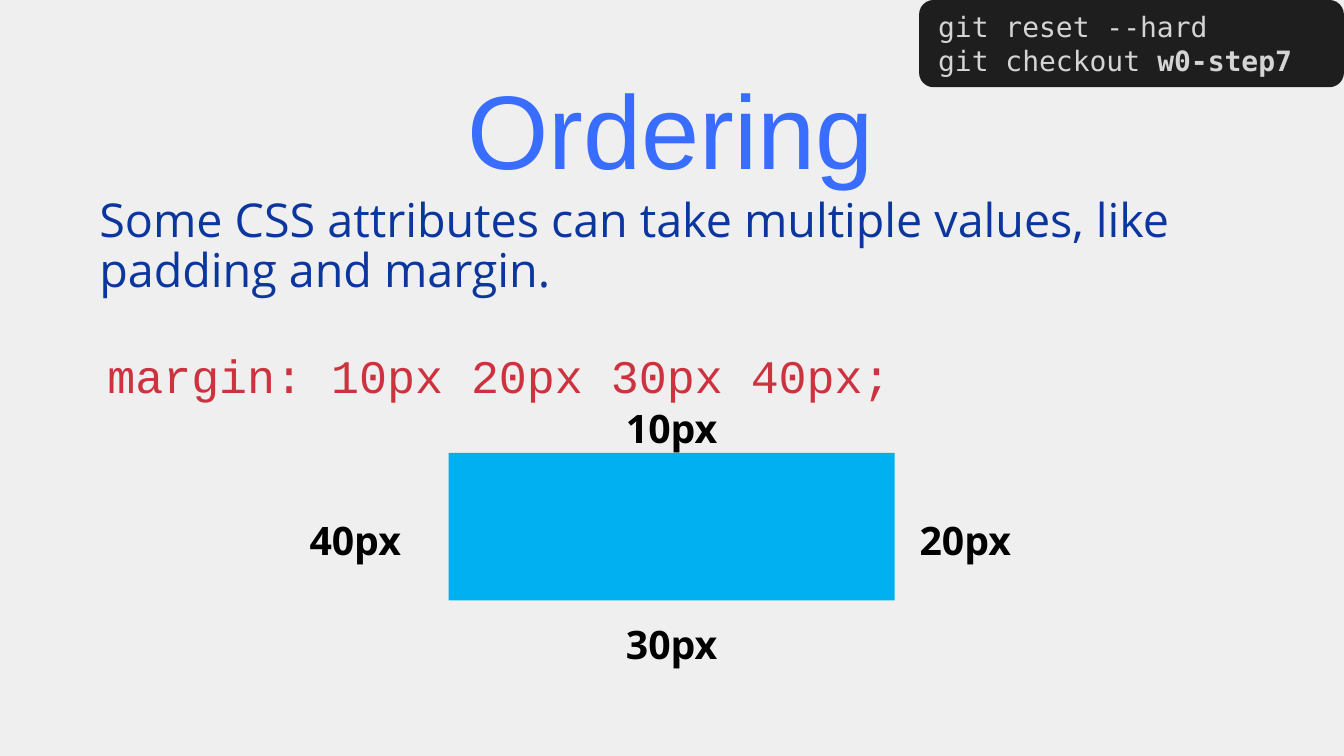
from pptx import Presentation
from pptx.dml.color import RGBColor
from pptx.enum.shapes import MSO_SHAPE
from pptx.enum.text import MSO_ANCHOR, PP_ALIGN
from pptx.util import Cm, Pt

HUES = {
    "page": "EFEFEF",
    "title": "396DFF",
    "body": "0A369D",
    "code": "CC333F",
    "label": "000000",
    "box": "00B0F0",
    "shell": "1E1E1E",
    "shell text": "D4D4D4",
}


def hue(name):
    return RGBColor.from_string(HUES[name])


def style(para, face, size, tint, bold=False, align=PP_ALIGN.LEFT):
    para.alignment = align
    font = para.font
    font.name, font.size, font.bold = face, Pt(size), bold
    font.color.rgb = hue(tint)


def inset(frame, side, top):
    frame.word_wrap = True
    frame.margin_left = frame.margin_right = Cm(side)
    frame.margin_top = frame.margin_bottom = Cm(top)


def add_text(slide, box, text, top=0.18, **look):
    frame = slide.shapes.add_textbox(*map(Cm, box)).text_frame
    inset(frame, 0.18, top)
    para = frame.paragraphs[0]
    para.text = text
    style(para, **look)
    return para


def add_block(slide, kind, box, tint):
    shape = slide.shapes.add_shape(kind, *map(Cm, box))
    shape.shadow.inherit = False
    shape.fill.solid()
    shape.fill.fore_color.rgb = hue(tint)
    shape.line.fill.background()
    return shape


def add_title(slide, box, text):
    title = slide.shapes.title
    title.left, title.top, title.width, title.height = map(Cm, box)
    frame = title.text_frame
    frame.text = text
    inset(frame, 0.18, 0.18)
    frame.vertical_anchor = MSO_ANCHOR.MIDDLE
    style(frame.paragraphs[0], "Arial", 56, "title", align=PP_ALIGN.CENTER)


def add_sides(slide, box, sides):
    """Draw the box with its top, right, bottom and left margins named around it."""
    left, top, width, height = box
    add_block(slide, MSO_SHAPE.RECTANGLE, box, "box")
    wide, high = 3.53, 0.84
    mid_x = left + (width - wide) / 2
    mid_y = top + (height - high) / 2 + 0.04
    spots = [
        (mid_x, top - high - 0.25),
        (left + width - 0.43, mid_y),
        (mid_x, top + height + 0.2),
        (left - wide, mid_y),
    ]
    for (x, y), text in zip(spots, sides):
        add_text(slide, (x, y, wide, high), text, face="Open Sans", size=21,
                 tint="label", bold=True, align=PP_ALIGN.CENTER)


def add_shell(slide, box, lines):
    """Draw the command panel; each line is a plain part and a bold part."""
    panel = add_block(slide, MSO_SHAPE.ROUNDED_RECTANGLE, box, "shell")
    frame = panel.text_frame
    inset(frame, 0.28, 0.28)
    frame.vertical_anchor = MSO_ANCHOR.MIDDLE
    for i, (plain, strong) in enumerate(lines):
        para = frame.add_paragraph() if i else frame.paragraphs[0]
        style(para, "DejaVu Sans Mono", 15, "shell text")
        para.add_run().text = plain
        if strong:
            run = para.add_run()
            run.text = strong
            run.font.bold = True


def main():
    deck = Presentation()
    deck.slide_width, deck.slide_height = Cm(25.4), Cm(14.29)
    slide = deck.slides.add_slide(deck.slide_layouts[5])
    fill = slide.background.fill
    fill.solid()
    fill.fore_color.rgb = hue("page")

    add_title(slide, (1.73, 0.64, 21.9, 3.56), "Ordering")
    body = add_text(
        slide, (1.7, 3.63, 21.97, 9.14),
        "Some CSS attributes can take multiple values, like padding and margin.",
        top=0.1, face="Open Sans", size=25, tint="body")
    body.line_spacing = 0.9

    sides = ["10px", "20px", "30px", "40px"]
    add_sides(slide, (8.48, 8.56, 8.43, 2.79), sides)
    add_text(slide, (1.85, 6.25, 21.06, 0.84), f"margin: {' '.join(sides)};",
             top=0.3, face="Courier New", size=25, tint="code")
    add_shell(slide, (17.37, 0, 8.03, 1.65),
              [("git reset --hard", ""), ("git checkout ", "w0-step7")])
    deck.save("out.pptx")


if __name__ == "__main__":
    main()
